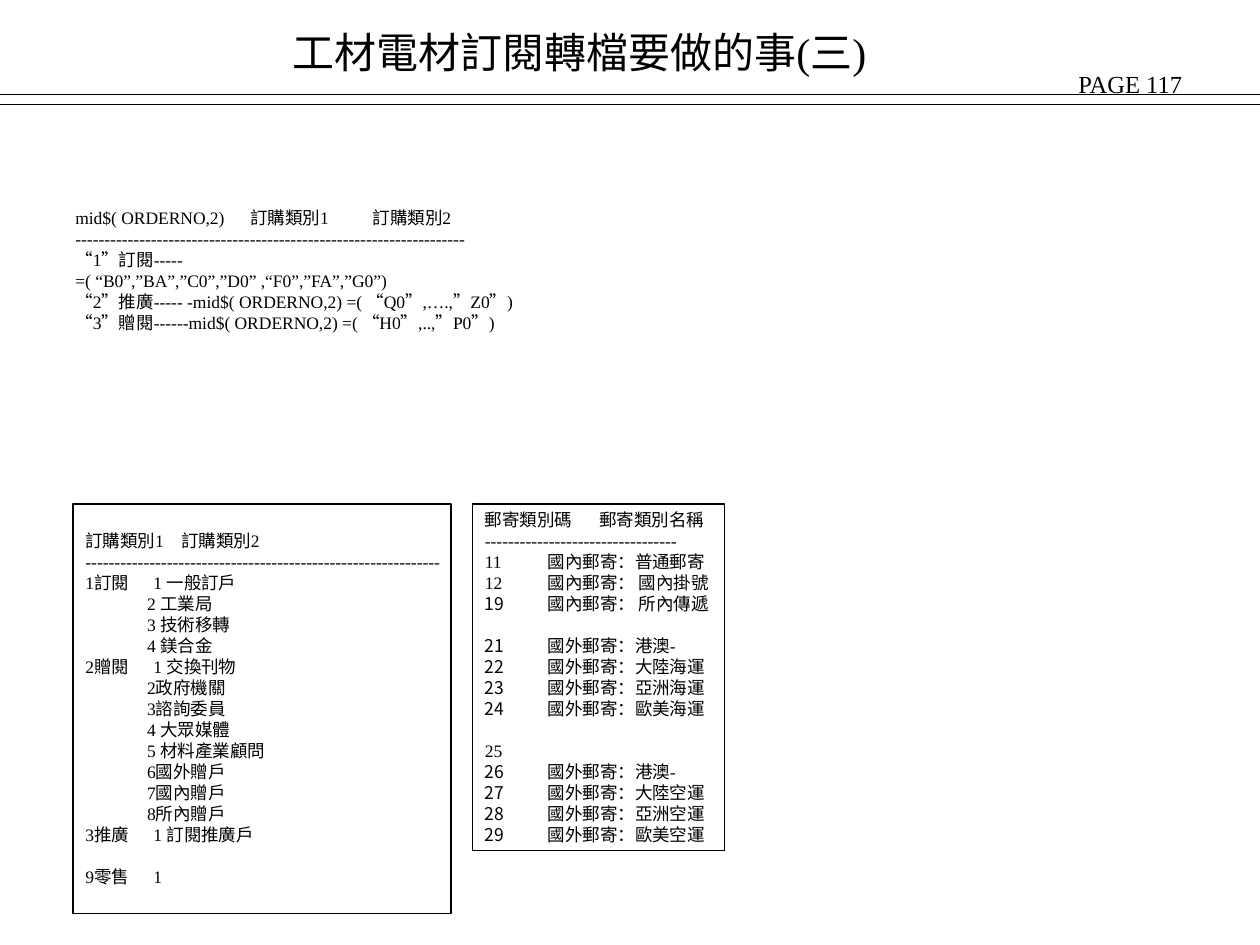
"""Build the slide of order and mailing categories for the subscription conversion."""
from pptx import Presentation
from pptx.dml.color import RGBColor
from pptx.enum.shapes import MSO_CONNECTOR, MSO_SHAPE
from pptx.enum.text import MSO_ANCHOR, PP_ALIGN
from pptx.oxml.ns import qn
from pptx.util import Inches, Pt
from lxml.etree import SubElement

BLACK = RGBColor(0, 0, 0)
WHITE = RGBColor(255, 255, 255)
FONT_NAME = "Times New Roman"
BODY_SIZE = 10
LINE_WIDTH = Pt(0.75)
LINE_GAP = 12

TITLE = "工材電材訂閱轉檔要做的事(三)"
RULE_ROWS = [
    ("mid$( ORDERNO,2)\t訂購類別1\t訂購類別2", {"tabs": (1.39, 2.36)}),
    ("-" * 67, {}),
    ("“1”訂閱-----", {}),
    ("=( “B0”,”BA”,”C0”,”D0” ,“F0”,”FA”,”G0”)", {}),
    ("“2”推廣----- -mid$( ORDERNO,2) =( “Q0”,….,”Z0”)", {}),
    ("“3”贈閱------mid$( ORDERNO,2) =( “H0”,..,”P0”)", {}),
]
ORDER_GROUPS = [
    ("1訂閱\t1 一般訂戶", ["2 工業局", "3 技術移轉", "4 鎂合金"], 0),
    ("2贈閱\t1 交換刊物", ["2政府機關", "3諮詢委員", "4 大眾媒體", "5 材料產業顧問",
                       "6國外贈戶", "7國內贈戶", "8所內贈戶"], 0),
    ("3推廣\t1 訂閱推廣戶", [], 0),
    ("9零售\t1", [], LINE_GAP),
]
MAIL_ROWS = [
    ("郵寄類別碼\t郵寄類別名稱", {"tabs": (0.91,)}),
    ("-" * 33, {}),
    ("11\t國內郵寄：普通郵寄", {"hanging": 0.5}),
    ("12\t國內郵寄： 國內掛號", {"hanging": 0.5}),
    ("國內郵寄： 所內傳遞", {"hanging": 0.5, "start": 19}),
]
MAIL_REGIONS = ["港澳-", "大陸{}", "亞洲{}", "歐美{}"]


class SlideBuilder:
    """Hold the text style and the current slide."""

    def __init__(self, presentation):
        self.slide = presentation.slides.add_slide(presentation.slide_layouts[5])
        self.slide.background.fill.solid()
        self.slide.background.fill.fore_color.rgb = WHITE

    def format_paragraph(self, paragraph, text, size, tabs=(), hanging=0, start=None, before=0):
        properties = paragraph._p.get_or_add_pPr()
        if hanging:
            properties.set("marL", str(Inches(hanging)))
            properties.set("indent", str(-Inches(hanging)))
        if start:
            SubElement(properties, qn("a:buFontTx"))
            SubElement(properties, qn("a:buAutoNum"), type="arabicPlain", startAt=str(start))
        if tabs:
            tab_list = SubElement(properties, qn("a:tabLst"))
            for position in tabs:
                SubElement(tab_list, qn("a:tab"), pos=str(Inches(position)), algn="l")
        values = {"alignment": PP_ALIGN.LEFT, "space_before": Pt(before), "space_after": Pt(0)}
        for name, value in values.items():
            setattr(paragraph, name, value)
        run = paragraph.add_run()
        run.text = text
        for name, value in {"name": FONT_NAME, "size": Pt(size)}.items():
            setattr(run.font, name, value)
        run.font.color.rgb = BLACK

    def fill_text(self, shape, rows, size=BODY_SIZE, anchor=MSO_ANCHOR.TOP, wrap=False):
        frame = shape.text_frame
        values = {
            "margin_left": Inches(0.1), "margin_right": Inches(0.1),
            "margin_top": Inches(0.05), "margin_bottom": Inches(0.05),
            "vertical_anchor": anchor, "word_wrap": wrap,
        }
        for name, value in values.items():
            setattr(frame, name, value)
        for index, (text, options) in enumerate(rows):
            paragraph = frame.add_paragraph() if index else frame.paragraphs[0]
            self.format_paragraph(paragraph, text, size, **options)

    def add_title(self, text, left, top, width, height):
        title = self.slide.shapes.title
        values = {"left": left, "top": top, "width": width, "height": height}
        for name, value in values.items():
            setattr(title, name, Inches(value))
        self.fill_text(title, [(text, {})], size=24, wrap=True)

    def add_text(self, rows, left, top, width, height, size=BODY_SIZE, wrap=False):
        box = self.slide.shapes.add_textbox(
            Inches(left), Inches(top), Inches(width), Inches(height))
        self.fill_text(box, rows, size, wrap=wrap)

    def add_panel(self, rows, left, top, width, height):
        panel = self.slide.shapes.add_shape(
            MSO_SHAPE.RECTANGLE, Inches(left), Inches(top), Inches(width), Inches(height))
        panel.shadow.inherit = False
        panel.fill.background()
        panel.line.color.rgb = BLACK
        panel.line.width = LINE_WIDTH
        self.fill_text(panel, rows, anchor=MSO_ANCHOR.MIDDLE)

    def add_rule(self, top):
        rule = self.slide.shapes.add_connector(
            MSO_CONNECTOR.STRAIGHT, Inches(0), Inches(top), Inches(10), Inches(top))
        rule.line.color.rgb = BLACK
        rule.line.width = LINE_WIDTH
        SubElement(rule._element.spPr, qn("a:effectLst"))


def order_rows():
    """List the order categories with their subcategories."""
    rows = [("訂購類別1\t訂購類別2", {"tabs": (0.76,)}), ("-" * 61, {})]
    for heading, items, before in ORDER_GROUPS:
        rows.append((heading, {"tabs": (0.54,), "before": before}))
        rows += [("\t" + item, {"tabs": (0.49,)}) for item in items]
    return rows


def foreign_rows(start, carrier):
    """List the foreign mailing categories of one carrier."""
    return [("國外郵寄：" + region.format(carrier),
             {"hanging": 0.5, "start": start, "before": 0 if index else LINE_GAP * (start == 21)})
            for index, region in enumerate(MAIL_REGIONS)]


def main():
    """Create and save the presentation."""
    presentation = Presentation()
    presentation.slide_width = Inches(10)
    presentation.slide_height = Inches(7.5)
    builder = SlideBuilder(presentation)
    builder.add_title(TITLE, 2.22, 0.16, 5.4, 0.5)
    builder.add_text([("PAGE 117", {})], 8.46, 0.5, 1.57, 0.34, size=14)
    for top in (0.75, 0.83):
        builder.add_rule(top)
    builder.add_text(RULE_ROWS, 0.5, 1.59, 5.56, 1.1, wrap=True)
    builder.add_panel(order_rows(), 0.58, 4, 3, 3.25)
    spare_row = ("25", {"hanging": 0.5, "before": LINE_GAP})
    mail_rows = MAIL_ROWS + foreign_rows(21, "海運") + [spare_row] + foreign_rows(26, "空運")
    builder.add_panel(mail_rows, 3.75, 4, 2, 2.75)
    presentation.save("out.pptx")


if __name__ == "__main__":
    main()
